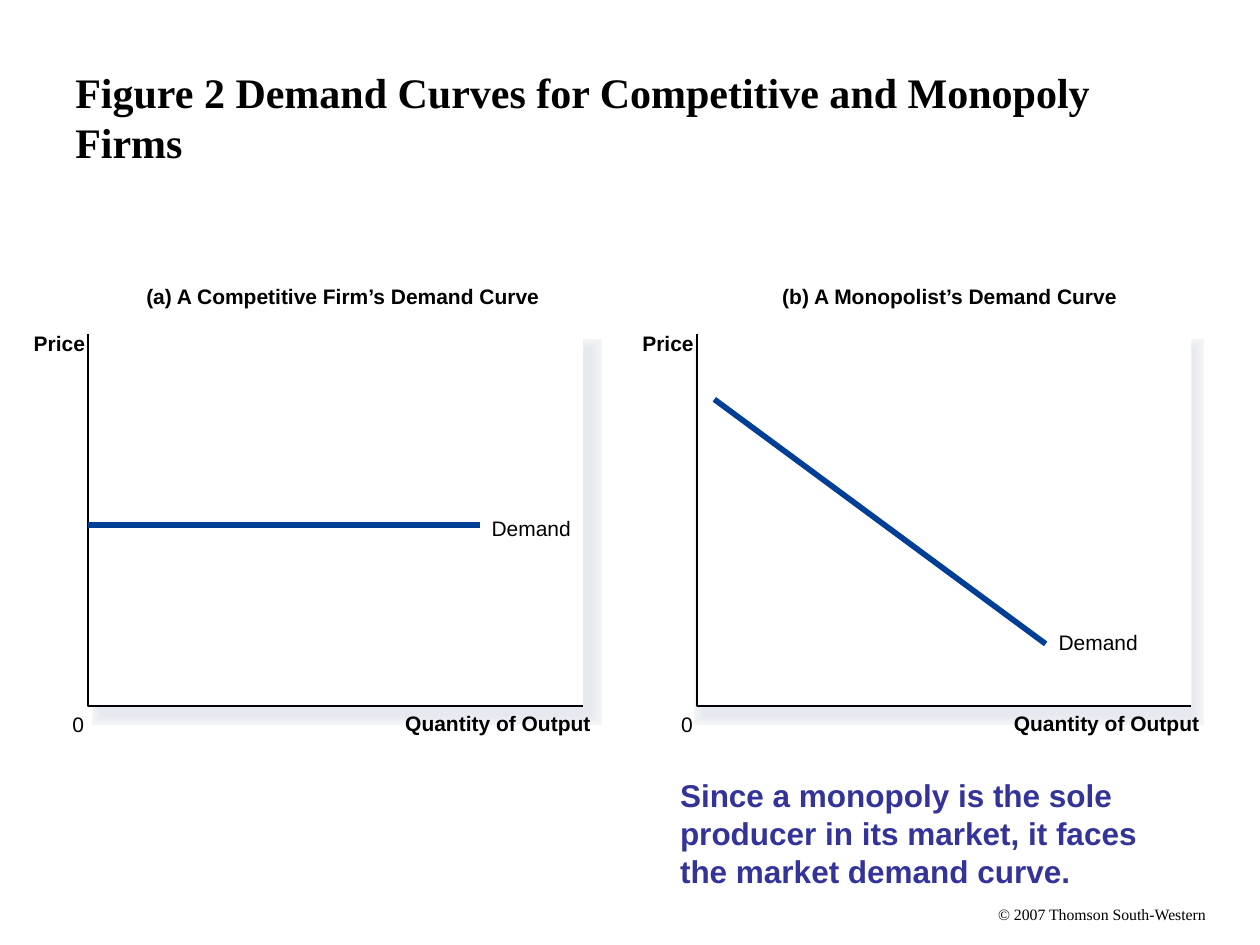
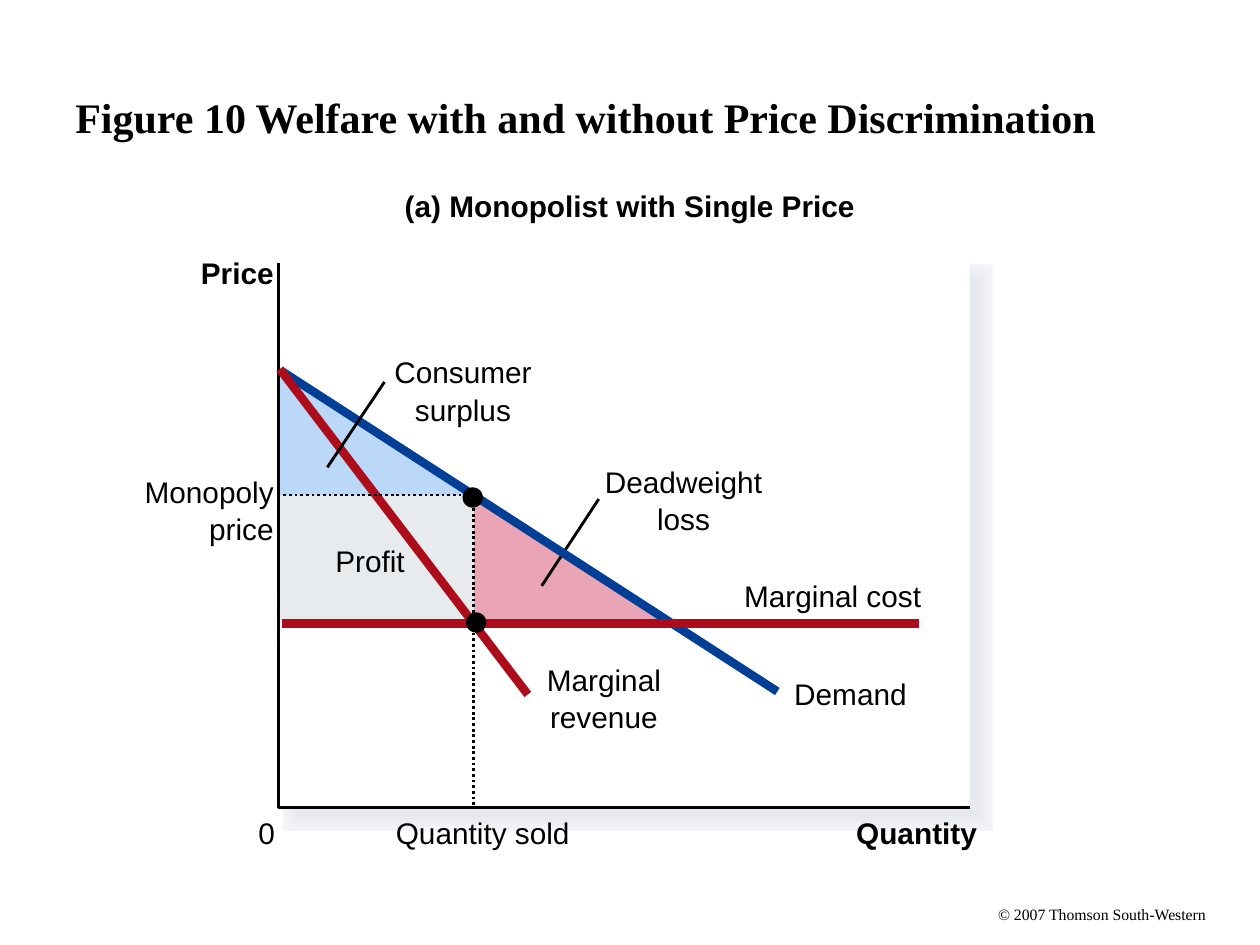
from dataclasses import dataclass

from lxml import etree
from pptx import Presentation
from pptx import util as u
from pptx.dml.color import RGBColor
from pptx.enum import dml, shapes, text
from pptx.oxml.ns import qn


@dataclass(frozen=True)
class Theme:
    serif: str = "Times New Roman"
    sans: str = "Arial"
    ink: str = "000000"
    paper: str = "FFFFFF"
    blue: str = "003F95"
    red: str = "AD0D1B"
    note: str = "333399"
    gain: str = "BBD8F9"
    profit: str = "E7EBEE"
    loss: str = "E9A5B5"
    glow: tuple = ("F3F6F9", "F2F4F8", "F1F4F7", "F0F2F5", "EEF1F4", "EDEFF3",
                   "EBEEF2", "EAECF1", "E9EBF0", "E7EAEF", "E6E9EF")
    head: int = 24
    body: int = 18
    large: int = 17
    small: int = 12
    foot: int = 9


T = Theme()
LEFT = text.PP_ALIGN.LEFT
MID = text.PP_ALIGN.CENTER
RIGHT = text.PP_ALIGN.RIGHT


def rgb(code):
    return RGBColor.from_string(code)


def stroke(line, color, width):
    line.color.rgb = rgb(color)
    line.width = u.Pt(width)


def write(slide, box, words, size, color=T.ink, bold=False, font=T.sans,
          align=LEFT, wrap=False, inset=(0, 0), anchor=text.MSO_ANCHOR.TOP):
    frame = slide.shapes.add_textbox(*map(u.Cm, box)).text_frame
    frame.word_wrap = wrap
    if not wrap:
        frame.auto_size = text.MSO_AUTO_SIZE.SHAPE_TO_FIT_TEXT
    frame.vertical_anchor = anchor
    frame.margin_left = frame.margin_right = u.Cm(inset[0])
    frame.margin_top = frame.margin_bottom = u.Cm(inset[1])
    for i, part in enumerate(words.split("\n")):
        para = frame.paragraphs[0] if i == 0 else frame.add_paragraph()
        para.alignment = align
        if i:
            para.space_before = u.Pt(1)
        run = para.add_run()
        run.text = part
        run.font.name = font
        run.font.size = u.Pt(size)
        run.font.bold = bold
        run.font.color.rgb = rgb(color)


def label(slide, x, y, w, words, size, bold=False, align=LEFT):
    high = size * 0.042 * (1 + words.count("\n"))
    write(slide, (x, y, w, high), words, size, bold=bold, align=align)


def solid(slide, box, color, width=0, kind=shapes.MSO_SHAPE.RECTANGLE):
    shape = slide.shapes.add_shape(kind, *map(u.Cm, box))
    shape.shadow.inherit = False
    shape.fill.solid()
    shape.fill.fore_color.rgb = rgb(color)
    if width:
        stroke(shape.line, color, width)
        edge = shape._element.spPr.find(qn("a:ln"))
        etree.SubElement(edge, qn("a:miter"), lim="800000")
    else:
        shape.line.fill.background()


def dot(slide, x, y, size=0.41):
    box = (x - size / 2, y - size / 2, size, size)
    solid(slide, box, T.ink, kind=shapes.MSO_SHAPE.OVAL)


def trace(slide, points, close):
    first, *rest = [(u.Cm(x), u.Cm(y)) for x, y in points]
    pen = slide.shapes.build_freeform(*first)
    pen.add_line_segments(rest, close=close)
    shape = pen.convert_to_shape()
    shape.shadow.inherit = False
    return shape


def area(slide, points, color):
    shape = trace(slide, points, True)
    shape.fill.solid()
    shape.fill.fore_color.rgb = rgb(color)
    shape.line.fill.background()


def bend(slide, points, width, dash=None):
    shape = trace(slide, points, False)
    shape.fill.background()
    stroke(shape.line, T.ink, width)
    if dash:
        shape.line.dash_style = dash


def curve(slide, ends, color, width):
    line = slide.shapes.add_connector(
        shapes.MSO_CONNECTOR.STRAIGHT, *map(u.Cm, ends))
    stroke(line.line, color, width)
    etree.SubElement(line._element.spPr, qn("a:effectLst"))


def plot(slide, box, shade, step):
    count = len(T.glow)
    for i, color in enumerate(T.glow):
        solid(slide, shade, color, step * (count - i))
    solid(slide, box, T.paper)


def axes(slide, box, width):
    x, y, w, h = box
    bend(slide, [(x, y), (x, y + h), (x + w, y + h)], width)


def start(deck, title):
    slide = deck.slides.add_slide(deck.slide_layouts[6])
    write(slide, (20.12, 18.24, 4.22, 0.38), "© 2007 Thomson South-Western",
          T.foot, font=T.serif)
    write(slide, (1.27, 0.76, 22.86, 3.18), title, T.head, bold=True,
          font=T.serif, wrap=True, inset=(0.25, 0.13),
          anchor=text.MSO_ANCHOR.MIDDLE)
    return slide


def panel(slide, x, shade, name, place, ends, tag):
    box = (x, 6.73, 9.97, 7.5)
    plot(slide, box, (shade, 7.04, 9.86, 7.37), 1.1)
    axes(slide, box, 1.13)
    label(slide, *place, name, T.small, True)
    label(slide, x - 1.1, 6.66, 1.06, "Price", T.small, True)
    label(slide, x - 0.32, 14.35, 0.25, "0", T.small)
    label(slide, x + 6.39, 14.33, 3.8, "Quantity of Output", T.small, True)
    curve(slide, ends, T.blue, 3.25)
    label(slide, *tag, 1.65, "Demand", T.small)


def firms(deck):
    slide = start(deck, "Figure 2 Demand Curves for Competitive and Monopoly Firms")
    panel(slide, 1.78, 2.06, "(a) A Competitive Firm’s Demand Curve",
          (2.95, 5.72, 8.1), (1.78, 10.59, 9.68, 10.59), (9.91, 10.39))
    panel(slide, 14.05, 14.2, "(b) A Monopolist’s Demand Curve",
          (15.77, 5.72, 6.95), (14.4, 8.05, 21.08, 12.98), (21.34, 12.7))
    write(slide, (13.46, 15.52, 10.36, 2.54),
          "Since a monopoly is the sole producer in its market, "
          "it faces the market demand curve.",
          T.body, T.note, True, wrap=True, inset=(0.25, 0.13))


def welfare(deck):
    slide = start(deck, "Figure 10 Welfare with and without Price Discrimination")
    box = (5.61, 5.31, 13.94, 10.97)
    zero, sold, equal = 5.61, 9.55, 13.49
    top, price, cost = 7.47, 9.98, 12.5
    plot(slide, box, (6.02, 5.64, 13.69, 10.8), 1.61)
    area(slide, [(sold, price), (sold, cost), (equal, cost)], T.loss)
    solid(slide, (zero, price, sold - zero, cost - price), T.profit)
    area(slide, [(zero, price), (sold, price), (zero, top)], T.gain)
    axes(slide, box, 1.62)

    curve(slide, (10.92, 11.81, 12.07, 10.06), T.ink, 1.62)
    curve(slide, (5.66, 7.47, 15.67, 13.94), T.blue, 4.88)
    curve(slide, (5.64, 7.44, 10.64, 14), T.red, 4.88)
    curve(slide, (6.6, 9.42, 7.75, 7.7), T.ink, 1.62)
    bend(slide, [(sold, 16.23), (sold, price), (zero, price)], 1.62,
         dml.MSO_LINE.ROUND_DOT)
    dot(slide, 9.53, 10.03)
    curve(slide, (5.69, 12.57, 18.52, 12.57), T.red, 4.88)
    dot(slide, 9.6, 12.55)

    for x, y, w, words, bold, align in (
        (8.16, 3.78, 9.2, "(a) Monopolist with Single Price", True, LEFT),
        (4.05, 5.13, 1.55, "Price", True, LEFT),
        (5.21, 16.43, 0.4, "0", False, LEFT),
        (7.98, 16.43, 3.6, "Quantity sold", False, LEFT),
        (17.26, 16.43, 2.55, "Quantity", True, LEFT),
        (6.76, 10.95, 1.55, "Profit", False, LEFT),
        (15, 11.65, 3.7, "Marginal cost", False, LEFT),
        (16.01, 13.63, 2.4, "Demand", False, LEFT),
        (12.09, 9.35, 3.38, "Deadweight\nloss", False, MID),
        (10.92, 13.34, 2.51, "Marginal\nrevenue", False, MID),
        (7.85, 7.14, 2.97, "Consumer\nsurplus", False, MID),
        (2.82, 9.55, 2.7, "Monopoly\nprice", False, RIGHT),
    ):
        label(slide, x, y, w, words, T.large, bold, align)


def main():
    deck = Presentation()
    deck.slide_width = u.Cm(25.4)
    deck.slide_height = u.Cm(19.05)
    firms(deck)
    welfare(deck)
    deck.save("out.pptx")


if __name__ == "__main__":
    main()
